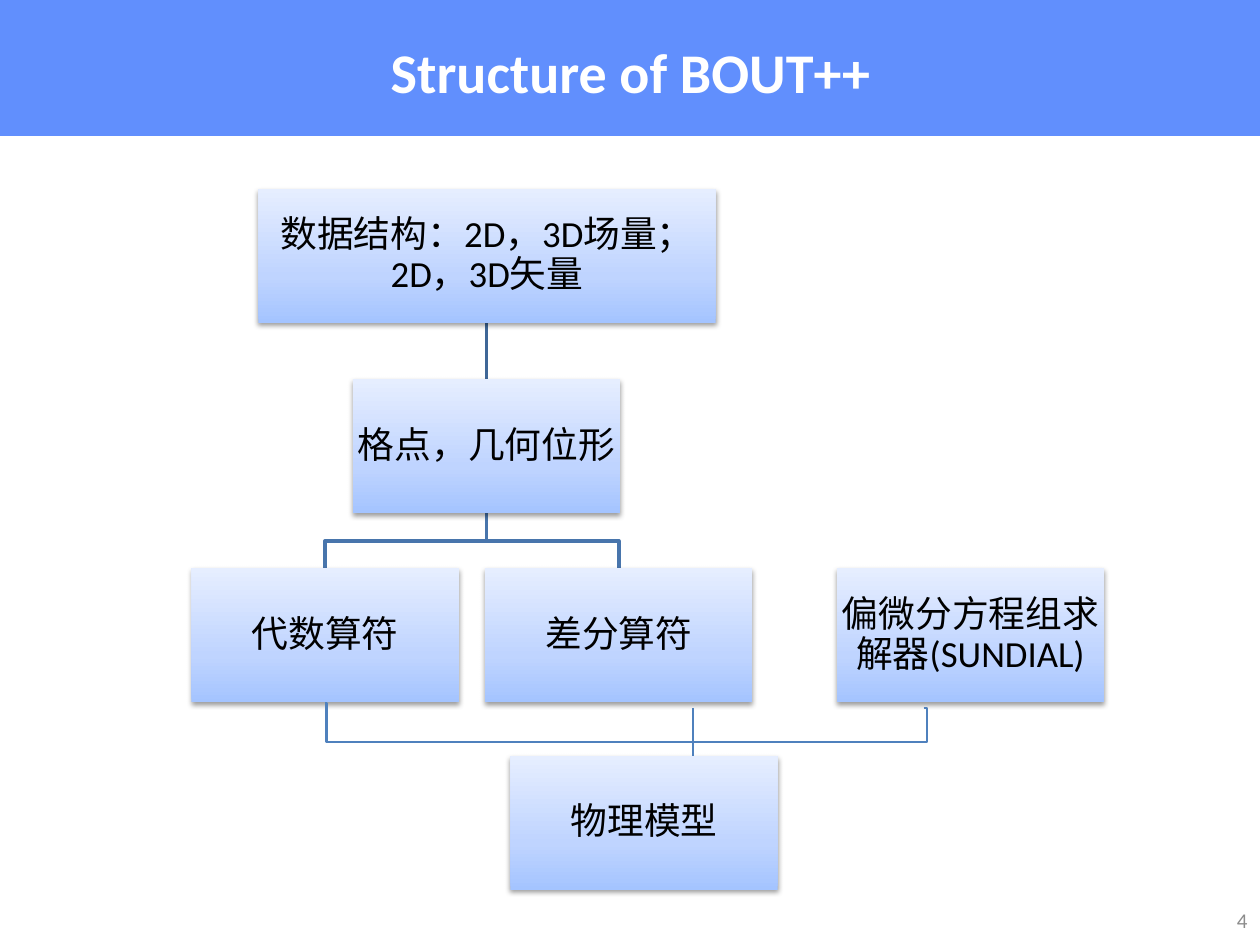
from copy import deepcopy

from lxml import etree
from pptx import Presentation
from pptx.dml.color import RGBColor
from pptx.enum import shapes, text
from pptx.oxml import ns
from pptx.util import Cm, Pt

BANNER = RGBColor(0x61, 0x8F, 0xFD)
WHITE = RGBColor(0xFF, 0xFF, 0xFF)
BLACK = RGBColor(0x00, 0x00, 0x00)
GRAY = RGBColor(0x8C, 0x8C, 0x8C)
TRUNK = RGBColor(0x3F, 0x67, 0x97)
BRANCH = RGBColor(0x48, 0x75, 0xAC)
LINK = RGBColor(0x4F, 0x81, 0xBD)
BOX_STOPS = (
    (0, RGBColor(0xA4, 0xC4, 0xFF)),
    (0.35, RGBColor(0xBF, 0xD4, 0xFF)),
    (1, RGBColor(0xE6, 0xEE, 0xFF)),
)
FONT = "Calibri"
BOX_W, BOX_H = 5.39, 2.7


def write(tf, words, size, color, align, bold=False):
    """Fill a text frame with one styled paragraph."""
    tf.word_wrap = True
    p = tf.paragraphs[0]
    p.text = words
    p.alignment = align
    p.font.name, p.font.size, p.font.bold = FONT, Pt(size), bold
    p.font.color.rgb = color
    return p


def add_rect(s, x, y, w, h):
    """Add a rectangle without outline or shadow."""
    sp = s.shapes.add_shape(shapes.MSO_SHAPE.RECTANGLE, Cm(x), Cm(y), Cm(w), Cm(h))
    sp.line.fill.background()
    sp.shadow.inherit = False
    return sp


def header(s, x, y, w, h):
    """Place the banner and its centred title."""
    band = add_rect(s, x, y, w, h)
    band.fill.solid()
    band.fill.fore_color.rgb = BANNER
    title = s.shapes.add_textbox(Cm(x + 2.34), Cm(y + 0.64), Cm(w - 4.65), Cm(1.63))
    write(title.text_frame, "Structure of BOUT++", 32, WHITE, text.PP_ALIGN.CENTER, True)


def page_number(s, x, y, w, h):
    """Place the page number against the right edge of its box."""
    tf = s.shapes.add_textbox(Cm(x), Cm(y), Cm(w), Cm(h)).text_frame
    tf.vertical_anchor = text.MSO_ANCHOR.MIDDLE
    write(tf, "4", 12, GRAY, text.PP_ALIGN.RIGHT)


def add_box(s, x, y, w, words):
    """Add a gradient box with a soft shadow and a centred label."""
    sp = add_rect(s, x, y, w, BOX_H)
    sp.fill.gradient()
    sp.fill.gradient_angle = 90
    stops = sp.element.spPr.find(".//" + ns.qn("a:gsLst"))
    stops.append(deepcopy(stops[0]))
    for stop, (position, color) in zip(sp.fill.gradient_stops, BOX_STOPS):
        stop.position = position
        stop.color.rgb = color
    effects = sp.element.spPr.find(ns.qn("a:effectLst"))
    shadow = etree.SubElement(effects, ns.qn("a:outerShdw"), blurRad=str(Pt(3.1)),
                              dist=str(Pt(1.6)), dir="5400000", rotWithShape="0")
    tint = etree.SubElement(shadow, ns.qn("a:srgbClr"), val=str(BLACK))
    etree.SubElement(tint, ns.qn("a:alpha"), val="38000")
    tf = sp.text_frame
    tf.margin_left = tf.margin_right = tf.margin_top = tf.margin_bottom = Cm(0.03)
    tf.vertical_anchor = text.MSO_ANCHOR.MIDDLE
    write(tf, words, 21, BLACK, text.PP_ALIGN.CENTER).line_spacing = 0.9


def add_link(s, x1, y1, x2, y2, color=LINK, width=1.5, bend=None):
    """Add a straight connector, or an elbow when a bend is given."""
    kind = shapes.MSO_CONNECTOR.STRAIGHT if bend is None else shapes.MSO_CONNECTOR.ELBOW
    c = s.shapes.add_connector(kind, Cm(x1), Cm(y1), Cm(x2), Cm(y2))
    c.line.color.rgb = color
    c.line.width = Pt(width)
    spPr = c.element.spPr
    etree.SubElement(spPr, ns.qn("a:effectLst"))
    if bend is not None:
        guides = spPr.find(".//" + ns.qn("a:avLst"))
        etree.SubElement(guides, ns.qn("a:gd"), name="adj1", fmla=f"val {bend}")


def add_branch(s, x1, y1, x2, y2):
    """Draw a stepped tree branch that turns halfway down."""
    mid = (y1 + y2) / 2
    builder = s.shapes.build_freeform(Cm(x1), Cm(y1))
    builder.add_line_segments(
        [(Cm(x), Cm(y)) for x, y in ((x1, mid), (x2, mid), (x2, y2))], close=False)
    sp = builder.convert_to_shape()
    sp.fill.background()
    sp.line.color.rgb = BRANCH
    sp.line.width = Pt(2)
    sp.shadow.inherit = False


def diagram(s, x, y):
    """Place the tree of modules and the links to the physics model."""
    row = [y + 3.84 * i for i in range(2)] + [y + 7.65, y + 11.43]
    trunk = x + 5.95
    left, right = x, x + 5.92
    for child in (right, left):
        add_branch(s, trunk, row[1] + BOX_H, child + BOX_W / 2, row[2])
    add_link(s, trunk, row[0] + BOX_H, trunk, row[1], TRUNK, 2)
    boxes = (
        (x + 1.35, row[0], 9.22, "数据结构：2D，3D场量；2D，3D矢量"),
        (trunk - BOX_W / 2, row[1], BOX_W, "格点，几何位形"),
        (left, row[2], BOX_W, "代数算符"),
        (right, row[2], BOX_W, "差分算符"),
        (x + 6.43, row[3], BOX_W, "物理模型"),
        (x + 13.01, row[2], BOX_W, "偏微分方程组求解器(SUNDIAL)"),
    )
    for box in boxes:
        add_box(s, *box)
    stem, bus, start = x + 10.11, y + 11.15, y + 10.46
    add_link(s, x + BOX_W / 2, y + 10.36, stem, bus, bend=300)
    add_link(s, x + 14.76, start, x + 8.08, bus, bend=-1000)
    add_link(s, stem, start, stem, row[3])


def main():
    """Build and save the slide."""
    prs = Presentation()
    prs.slide_width, prs.slide_height = Cm(25.4), Cm(19.05)
    s = prs.slides.add_slide(prs.slide_layouts[6])
    header(s, 0, 0, 25.4, 2.74)
    page_number(s, 19.48, 18.03, 5.92, 1.02)
    diagram(s, 3.86, 3.81)
    prs.save("out.pptx")


if __name__ == "__main__":
    main()
